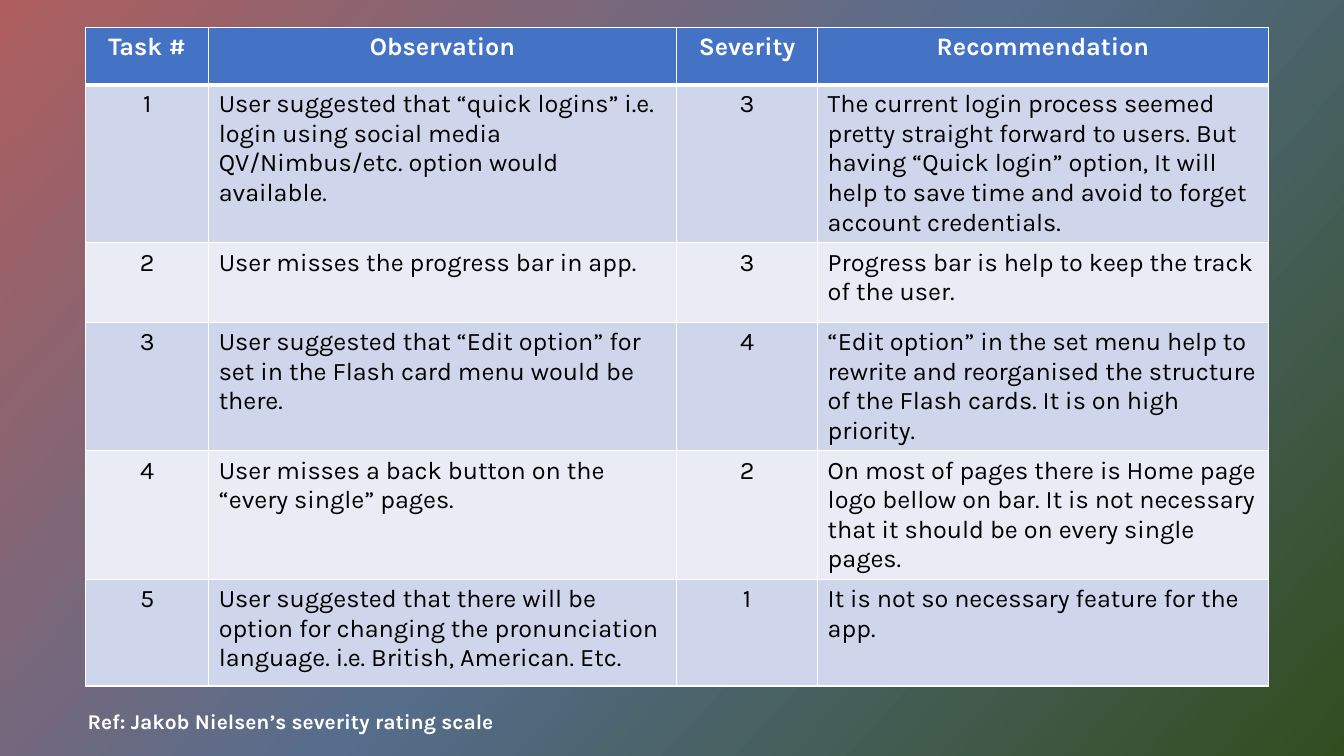
import pptx
import pptx.dml.color
import pptx.enum.text
import pptx.oxml
import pptx.oxml.ns
import pptx.util
from pptx.util import Inches

COLORS = {
    "white": "FFFFFF",
    "black": "000000",
    "header": "4472C4",
    "odd_row": "CFD5EA",
    "even_row": "E9EBF5",
    "rose": "AE5E5E",
    "slate": "566D8C",
    "forest": "324D1E",
}
FONT = "Karla"
COLUMN_WIDTHS = [1.22, 4.64, 1.4, 4.47]
ROW_HEIGHTS = [0.57, 1.57, 0.79, 1.27, 1.27, 1.06]
CENTERED_COLUMNS = (0, 2)
FINDINGS = [
    ("Task #", "Observation", "Severity", "Recommendation"),
    ("1", "User suggested that “quick logins” i.e. login using social media "
     "QV/Nimbus/etc. option would available.", "3",
     "The current login process seemed pretty straight forward to users. But having "
     "“Quick login” option, It will help to save time and avoid to forget account credentials."),
    ("2", "User misses the progress bar in app.", "3",
     "Progress bar is help to keep the track of the user."),
    ("3", "User suggested that “Edit option” for set in the Flash card menu would be there.", "4",
     "“Edit option” in the set menu help to rewrite and reorganised the structure of the "
     "Flash cards. It is on high priority."),
    ("4", "User misses a back button on the “every single” pages.", "2",
     "On most of pages there is Home page logo bellow on bar. It is not necessary that it "
     "should be on every single pages."),
    ("5", "User suggested that there will be option for changing the pronunciation language. "
     "i.e. British, American. Etc.", "1",
     "It is not so necessary feature for the app."),
]


def rgb(name):
    return pptx.dml.color.RGBColor.from_string(COLORS[name])


def set_gradient_background(page, stops, angle):
    stop_xml = "".join(
        f'<a:gs pos="{position * 1000}"><a:srgbClr val="{COLORS[name]}"/></a:gs>'
        for position, name in stops
    )
    background = pptx.oxml.parse_xml(
        f'<p:bg {pptx.oxml.ns.nsdecls("p", "a")}><p:bgPr><a:gradFill rotWithShape="1">'
        f'<a:gsLst>{stop_xml}</a:gsLst><a:lin ang="{angle * 60000}" scaled="0"/>'
        '</a:gradFill><a:effectLst/></p:bgPr></p:bg>'
    )
    page._element.cSld.insert(0, background)


def add_text(para, text, size, color, bold):
    span = para.add_run()
    span.text = text
    span.font.name = FONT
    span.font.size = pptx.util.Pt(size)
    span.font.bold = bold
    span.font.color.rgb = rgb(color)


def set_borders(cell, top, bottom):
    properties = cell._tc.get_or_add_tcPr()
    for side, width in (("L", 1), ("R", 1), ("T", top), ("B", bottom)):
        properties.append(pptx.oxml.parse_xml(
            f'<a:ln{side} {pptx.oxml.ns.nsdecls("a")} w="{pptx.util.Pt(width)}"><a:solidFill>'
            f'<a:srgbClr val="{COLORS["white"]}"/></a:solidFill></a:ln{side}>'
        ))


def fill_cell(cell, text, row, column):
    header = row == 0
    set_borders(cell, top=3 if row == 1 else 1, bottom=3 if header else 1)
    cell.fill.solid()
    cell.fill.fore_color.rgb = rgb("header" if header else "odd_row" if row % 2 else "even_row")
    para = cell.text_frame.paragraphs[0]
    if header or column in CENTERED_COLUMNS:
        para.alignment = pptx.enum.text.PP_ALIGN.CENTER
    add_text(para, text, 18, "white" if header else "black", header)


def add_findings_table(page):
    frame = page.shapes.add_table(
        len(ROW_HEIGHTS), len(COLUMN_WIDTHS), Inches(0.85), Inches(0.27),
        Inches(sum(COLUMN_WIDTHS)), Inches(sum(ROW_HEIGHTS)),
    )
    table = frame.table
    for column, width in zip(table.columns, COLUMN_WIDTHS):
        column.width = Inches(width)
    for row, height in zip(table.rows, ROW_HEIGHTS):
        row.height = Inches(height)
    for row, texts in enumerate(FINDINGS):
        for column, text in enumerate(texts):
            fill_cell(table.cell(row, column), text, row, column)


def add_reference(page, text):
    box = page.shapes.add_textbox(Inches(0.77), Inches(6.98), Inches(5.45), Inches(0.35))
    box.text_frame.word_wrap = True
    box.text_frame.auto_size = pptx.enum.text.MSO_AUTO_SIZE.SHAPE_TO_FIT_TEXT
    add_text(box.text_frame.paragraphs[0], text, 15, "white", True)


def main():
    deck = pptx.Presentation()
    deck.slide_width = Inches(13.33)
    deck.slide_height = Inches(7.5)
    page = deck.slides.add_slide(deck.slide_layouts[6])
    set_gradient_background(page, [(0, "rose"), (50, "slate"), (100, "forest")], 42)
    add_findings_table(page)
    add_reference(page, "Ref: Jakob Nielsen’s severity rating scale")
    deck.save("out.pptx")


if __name__ == "__main__":
    main()
